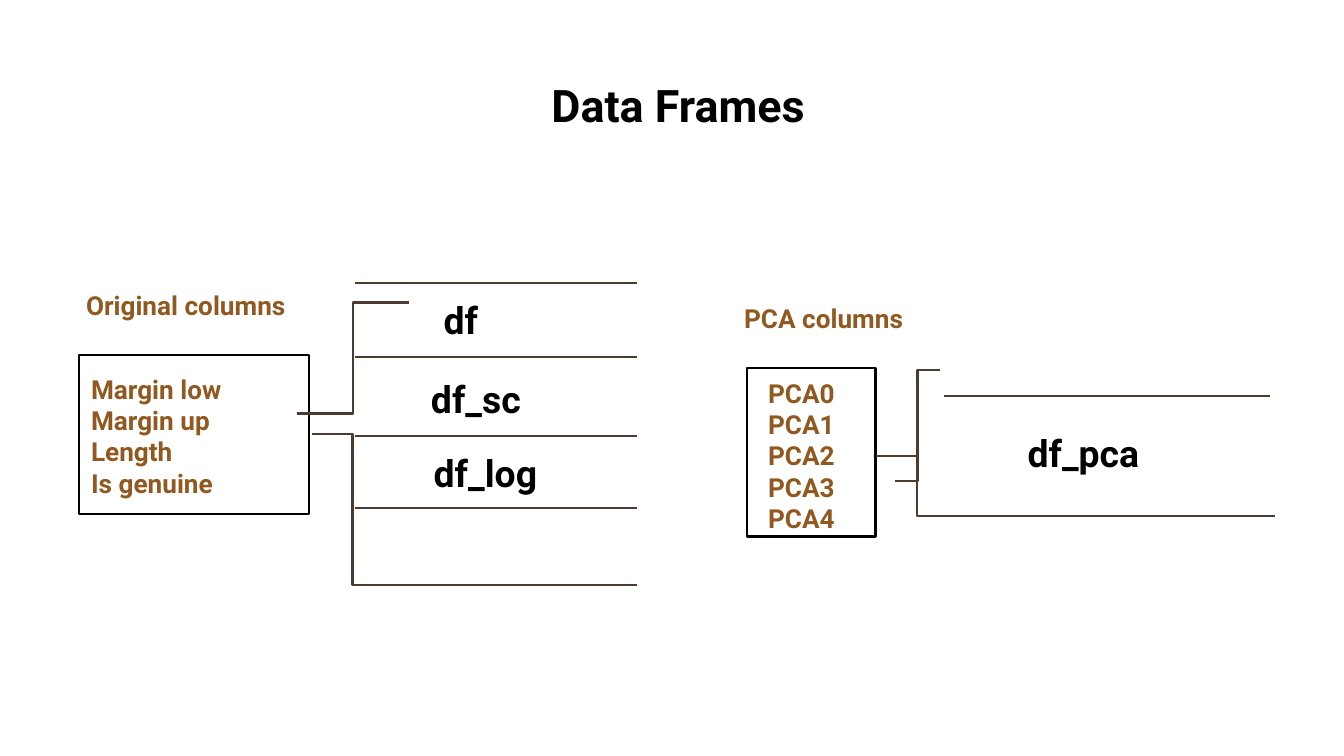
import dataclasses

import lxml.etree
import pptx
import pptx.dml.color
import pptx.enum.shapes
import pptx.enum.text
import pptx.oxml.ns
import pptx.util

EMU_PER_PX = 914400 / 134.4
ANCHOR = pptx.enum.text.MSO_ANCHOR
ALIGN = pptx.enum.text.PP_ALIGN
CONNECTOR = pptx.enum.shapes.MSO_CONNECTOR


@dataclasses.dataclass(frozen=True)
class Theme:
    font: str = "Roboto"
    ink: str = "000000"
    accent: str = "91581F"
    rule: str = "4E3B30"
    title_size: int = 24
    label_size: int = 20
    column_size: int = 14
    line_width: float = 1.5


@dataclasses.dataclass(frozen=True)
class Panel:
    heading: str
    heading_box: tuple
    columns: tuple
    columns_box: tuple
    frame_box: tuple
    rules: tuple
    brackets: tuple
    labels: tuple


THEME = Theme()

ORIGINAL_PANEL = Panel(
    heading="Original columns",
    heading_box=(0, 0, 310, 81),
    columns=("Margin low", "Margin up", "Length", "Is genuine"),
    columns_box=(5, 90, 228, 140),
    frame_box=(6, 79, 230, 159),
    rules=tuple((282, 564, y) for y in (7, 81, 160, 232, 309)),
    brackets=((239, 158, 321, 309), (224, 138, 336, 27)),
    labels=(
        ("df", (279, 9, 218, 70)),
        ("df_sc", (286, 88, 234, 70)),
        ("df_log", (285, 162, 255, 70)),
    ),
)

PCA_PANEL = Panel(
    heading="PCA columns",
    heading_box=(0, 0, 290, 81),
    columns=tuple(f"PCA{number}" for number in range(5)),
    columns_box=(24, 81, 103, 172),
    frame_box=(16, 79, 129, 169),
    rules=((213, 539, 107), (187, 544, 227)),
    brackets=((145, 167, 227, 227), (164, 192, 209, 81)),
    labels=(("df_pca", (165, 126, 375, 75)),),
)


def px(length):
    return pptx.util.Emu(round(length * EMU_PER_PX))


def color(value):
    return pptx.dml.color.RGBColor.from_string(value)


def shift(box, origin):
    left, top, width, height = box
    return left + origin[0], top + origin[1], width, height


def place(shape, box):
    shape.left, shape.top, shape.width, shape.height = map(px, box)


def write_text(shape, text, *, size, ink, align=ALIGN.LEFT,
               anchor=ANCHOR.TOP, inset=13):
    frame = shape.text_frame
    frame.text = text
    frame.word_wrap = True
    frame.auto_size = pptx.enum.text.MSO_AUTO_SIZE.NONE
    frame.vertical_anchor = anchor
    frame.margin_left = frame.margin_right = px(13)
    frame.margin_top = frame.margin_bottom = px(inset)
    for paragraph in frame.paragraphs:
        paragraph.alignment = align
        paragraph.space_before = pptx.util.Pt(0)
        properties = paragraph._p.get_or_add_pPr()
        properties.set("marL", "0")
        properties.set("indent", "0")
        lxml.etree.SubElement(properties, pptx.oxml.ns.qn("a:buNone"))
        for run in paragraph.runs:
            run.font.name = THEME.font
            run.font.size = pptx.util.Pt(size)
            run.font.bold = True
            run.font.color.rgb = color(ink)


def add_line(slide, kind, start, end):
    line = slide.shapes.add_connector(kind, *map(px, (*start, *end)))
    line.line.color.rgb = color(THEME.rule)
    line.line.width = pptx.util.Pt(THEME.line_width)
    lxml.etree.SubElement(line._element.spPr, pptx.oxml.ns.qn("a:effectLst"))


def add_frame(slide, box):
    frame = slide.shapes.add_shape(
        pptx.enum.shapes.MSO_SHAPE.RECTANGLE, *map(px, box))
    frame.shadow.inherit = False
    frame.fill.background()
    frame.line.color.rgb = color(THEME.ink)
    frame.line.width = pptx.util.Pt(THEME.line_width)


def draw_title(slide, box):
    title = slide.shapes.title
    place(title, box)
    write_text(title, "Data Frames", size=THEME.title_size, ink=THEME.ink,
               align=ALIGN.CENTER)


def draw_panel(slide, panel, origin, heading, columns):
    left, top = origin
    place(heading, shift(panel.heading_box, origin))
    write_text(heading, panel.heading, size=THEME.column_size,
               ink=THEME.accent)
    add_frame(slide, shift(panel.frame_box, origin))
    place(columns, shift(panel.columns_box, origin))
    write_text(columns, "\n".join(panel.columns), size=THEME.column_size,
               ink=THEME.accent, inset=7)
    for start, end, y in panel.rules:
        add_line(slide, CONNECTOR.STRAIGHT,
                 (left + start, top + y), (left + end, top + y))
    for x1, y1, x2, y2 in panel.brackets:
        add_line(slide, CONNECTOR.ELBOW,
                 (left + x1, top + y1), (left + x2, top + y2))
    for text, box in panel.labels:
        label = slide.shapes.add_textbox(*map(px, shift(box, origin)))
        write_text(label, text, size=THEME.label_size, ink=THEME.ink,
                   align=ALIGN.CENTER, anchor=ANCHOR.MIDDLE)


def main():
    presentation = pptx.Presentation()
    presentation.slide_width = px(1344)
    presentation.slide_height = px(756)
    comparison_layout = presentation.slide_layouts[4]
    slide = presentation.slides.add_slide(comparison_layout)
    bodies = slide.placeholders
    draw_title(slide, (73, 65, 1210, 85))
    draw_panel(slide, ORIGINAL_PANEL, (73, 276), bodies[1], bodies[2])
    draw_panel(slide, PCA_PANEL, (731, 289), bodies[3], bodies[4])
    presentation.save("out.pptx")


if __name__ == "__main__":
    main()
